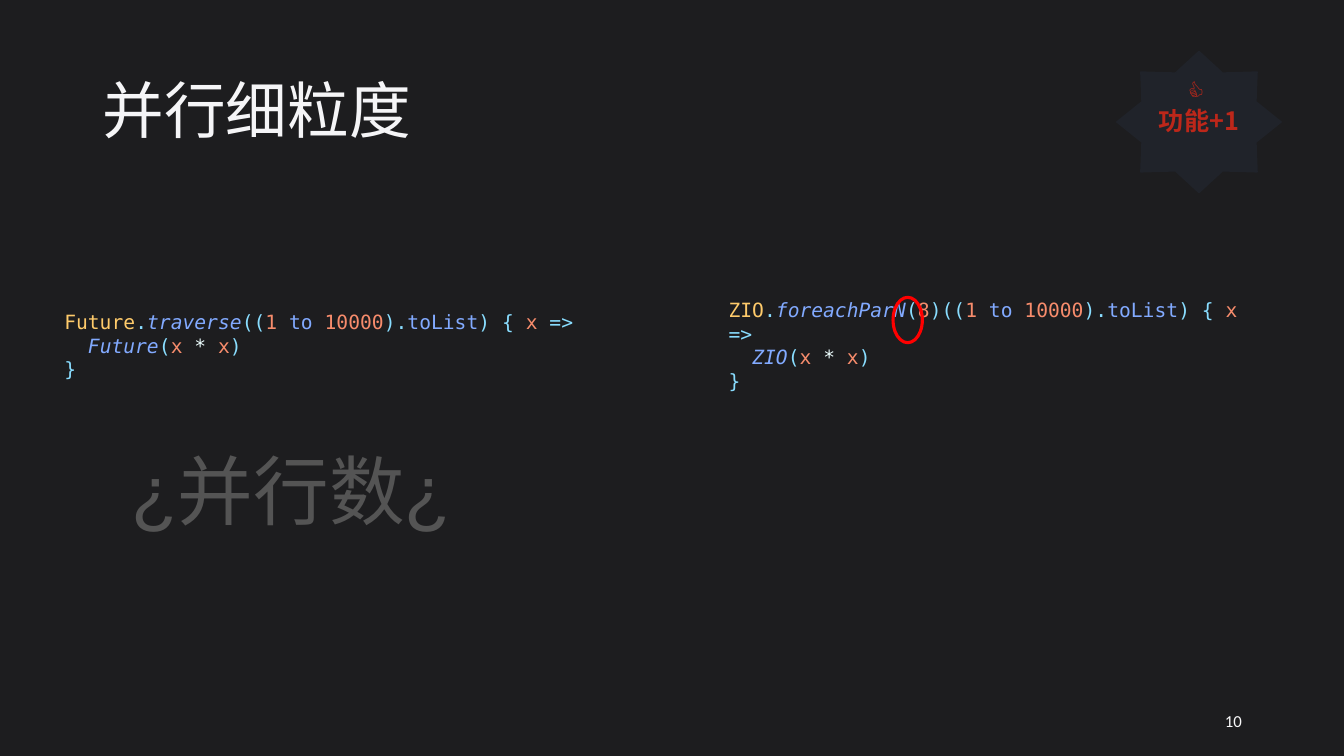
"""Build a slide comparing parallel granularity in Future and ZIO code."""
from pptx import Presentation, util as u
from pptx.dml.color import RGBColor
from pptx.enum import shapes, text
from pptx.oxml.ns import qn
from lxml import etree

THEME = {
    "background": "1D1D1F", "title": "F5F5F7", "number": "F8F8F9",
    "question": "545454", "ring": "FF0000", "star": "20232A", "badge": "BD271A",
    "type": "FFCB6B", "mark": "89DDFF", "name": "82AAFF", "call": "82AAFF",
    "value": "F78C6C", "operator": "EEFFFF",
    "title_size": 44, "code_size": 14, "question_size": 54, "number_size": 12, "badge_size": 18,
    "body_font": "Calibri", "code_font": "DejaVu Sans Mono",
    "question_font": "Arial", "chinese_font": "Noto Sans CJK SC",
}

presentation = Presentation()
presentation.slide_width, presentation.slide_height = u.Inches(13.333), u.Inches(7.5)
slide = presentation.slides.add_slide(presentation.slide_layouts[6])
slide.background.fill.solid()
slide.background.fill.fore_color.rgb = RGBColor.from_string(THEME["background"])


def box(left, top, width, height):
    """Turn percentages of the slide into lengths."""
    across, down = presentation.slide_width / 100, presentation.slide_height / 100
    return [int(length) for length in (left * across, top * down, width * across, height * down)]


def add_run(paragraph, content, color, size, font, bold=False, italic=False):
    """Add one styled run to a paragraph."""
    run = paragraph.add_run()
    run.text = content
    run.font.name, run.font.size = THEME[font], u.Pt(THEME[size])
    run.font.bold, run.font.italic = bold, italic
    run.font.color.rgb = RGBColor.from_string(THEME[color])
    east_asian = etree.SubElement(run.font._element, qn("a:ea"))
    east_asian.set("typeface", THEME["chinese_font"])


labels = [
    ("并行细粒度", (6.9, 5.33, 86.25, 19.33), "title", "body_font", text.PP_ALIGN.LEFT, text.MSO_ANCHOR.MIDDLE, 0.9),
    ("¿并行数¿", (8.93, 58.13, 25.5, 13.47), "question", "question_font", text.PP_ALIGN.CENTER, text.MSO_ANCHOR.TOP, 1.0),
    ("10", (70.65, 92.67, 22.5, 5.33), "number", "body_font", text.PP_ALIGN.RIGHT, text.MSO_ANCHOR.MIDDLE, 1.0),
]
for content, place, role, font, alignment, anchor, spacing in labels:
    frame = slide.shapes.add_textbox(*box(*place)).text_frame
    frame.word_wrap, frame.vertical_anchor = True, anchor
    paragraph = frame.paragraphs[0]
    paragraph.alignment, paragraph.line_spacing = alignment, spacing
    add_run(paragraph, content, role, f"{role}_size", font)

range_code = [("1 ", "value"), ("to ", "name"), ("10000", "value"), (").", "mark"),
              ("toList", "name"), (") { ", "mark"), ("x ", "value"), ("=>", "mark")]
product_code = [("(", "mark"), ("x ", "value"), ("* ", "operator"), ("x", "value"), (")", "mark")]
samples = [
    ("Future", [("traverse", "call"), ("((", "mark")], (4.05, 40.27, 42.45, 10.8)),
    ("ZIO", [("foreachParN", "call"), ("(", "mark"), ("8", "value"), (")((", "mark")], (53.48, 40.27, 39.68, 10.8)),
]
for effect, opening, place in samples:
    frame = slide.shapes.add_textbox(*box(*place)).text_frame
    frame.word_wrap, frame.vertical_anchor = True, text.MSO_ANCHOR.MIDDLE
    paragraph = frame.paragraphs[0]
    code_lines = [
        [(effect, "type"), (".", "mark"), *opening, *range_code],
        [("  ", "mark"), (effect, "call"), *product_code],
        [("}", "mark")],
    ]
    for index, code_line in enumerate(code_lines):
        if index:
            paragraph.add_line_break()
        for token, role in code_line:
            add_run(paragraph, token, role, "code_size", "code_font", italic=role == "call")

ring = slide.shapes.add_shape(shapes.MSO_SHAPE.OVAL, *box(66.45, 39.33, 2.18, 6))
ring.shadow.inherit = False
ring.fill.background()
ring.line.color.rgb = RGBColor.from_string(THEME["ring"])
ring.line.width = u.Pt(2.25)

star = slide.shapes.add_shape(shapes.MSO_SHAPE.STAR_8_POINT, *box(83.1, 6.8, 12.23, 18.67))
star.shadow.inherit = False
star.fill.solid()
star.fill.fore_color.rgb = star.line.color.rgb = RGBColor.from_string(THEME["star"])
star.line.width = u.Pt(1)
frame = star.text_frame
frame.word_wrap, frame.vertical_anchor = True, text.MSO_ANCHOR.MIDDLE
frame.margin_bottom = int(presentation.slide_height * 0.05)
for index, content in enumerate(("👍 ", "功能+1")):
    paragraph = frame.add_paragraph() if index else frame.paragraphs[0]
    paragraph.alignment = text.PP_ALIGN.CENTER
    add_run(paragraph, content, "badge", "badge_size", "chinese_font", bold=True)

presentation.save("out.pptx")
